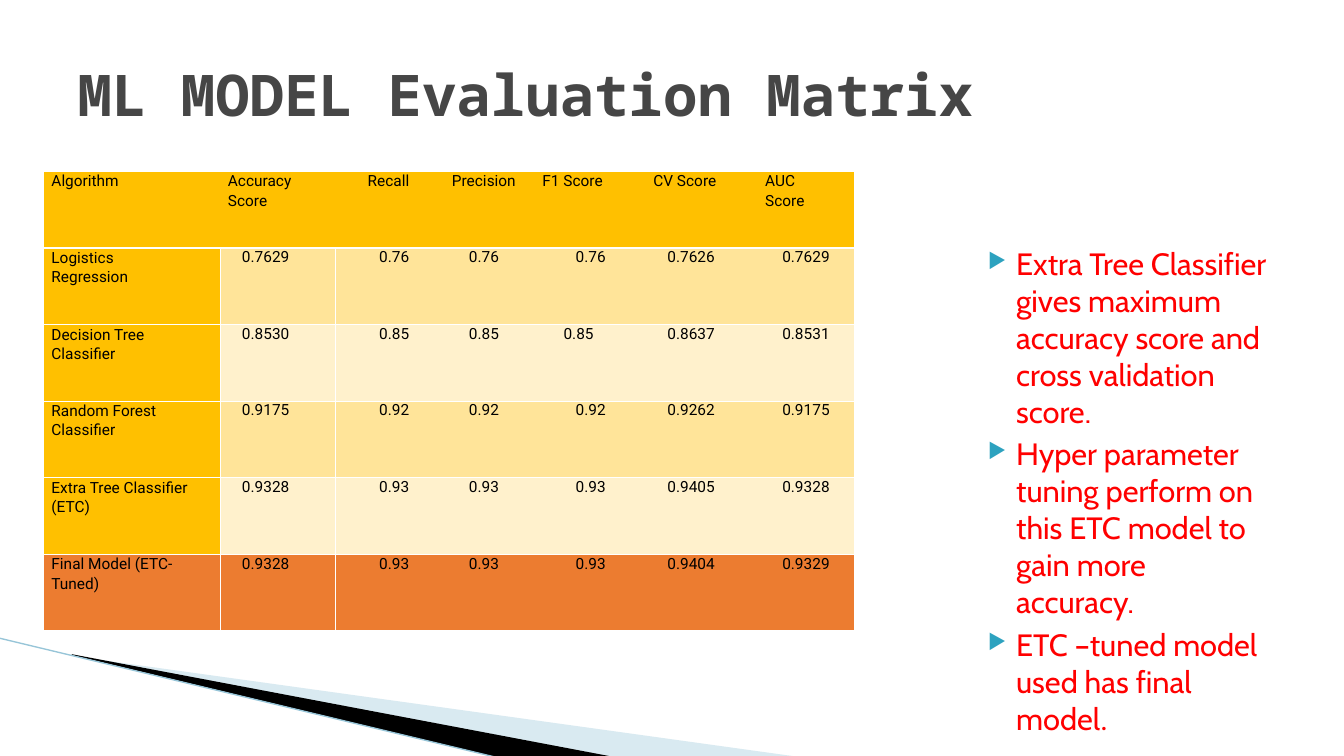
from lxml import etree
from pptx import Presentation
from pptx.dml.color import RGBColor
from pptx.enum.text import MSO_ANCHOR, PP_ALIGN
from pptx.oxml.ns import qn
from pptx.util import Inches, Pt

LEFT, MID, RIGHT = PP_ALIGN.LEFT, PP_ALIGN.CENTER, PP_ALIGN.RIGHT
MIDDLE = MSO_ANCHOR.MIDDLE

# Content
TITLE = "ML MODEL Evaluation Matrix"
HEAD = ["Algorithm", "Accuracy Score", "Recall", "Precision", "F1 Score",
        "CV Score", "AUC\nScore"]
ROWS = [
    ["Logistics Regression", "0.7629", "0.76", "0.76", "0.76", "0.7626", "0.7629"],
    ["Decision Tree Classifier", "0.8530", "0.85", "0.85", "0.85", "0.8637", "0.8531"],
    ["Random Forest Classifier", "0.9175", "0.92", "0.92", "0.92", "0.9262", "0.9175"],
    ["Extra Tree Classifier (ETC)", "0.9328", "0.93", "0.93", "0.93", "0.9405", "0.9328"],
    ["Final Model (ETC- Tuned)", "0.9328", "0.93", "0.93", "0.93", "0.9404", "0.9329"],
]
NOTES = [
    ["Extra Tree Classifier gives maximum accuracy score and cross validation score."],
    ["Hyper parameter tuning perform on this ETC model to gain more accuracy."],
    ["ETC –tuned model used has final model", "."],
]
COLORS = {"title": "464646", "note": "FF0000", "bullet": "2DA2BF",
          "text": "000000", "gold": "FFC000", "odd": "FFE499",
          "even": "FFF1CC", "final": "EC7C30", "rule": "FFFFFF",
          "pale": "A0CBDC", "black": "000000", "edge": "97C5D8"}

# Layout: column widths, and (align, left indent, right indent) by column
WIDTHS = [1.75, 1.14, 0.96, 1.02, 1.1, 1.11, 0.95]
ROW_H = 0.76
HEAD_FMT = [(LEFT, 0.07, 0), (LEFT, 0.07, 0.2), (RIGHT, 0, 0.23),
            (MID, 0, 0), (LEFT, 0.07, 0), (LEFT, 0.07, 0), (LEFT, 0.07, 0)]
BODY_FMT = [(LEFT, 0.07, 0.3), (LEFT, 0.21, 0), (RIGHT, 0, 0.23),
            (MID, 0, 0), (MID, 0, 0), (LEFT, 0.21, 0), (MID, 0, 0)]
SHIFTED = {(2, 4): (LEFT, 0.28, 0)}
WEDGES = [
    ("pale", 40, [(0.73, 6.51), (7.93, 7.51), (6.08, 7.51), (0.73, 6.5)]),
    ("black", 100, [(0.71, 6.49), (6.09, 7.51), (4.96, 7.52), (0.72, 6.5)]),
]


def rgb(key):
    return RGBColor.from_string(COLORS[key])


def style(run, font, size, key, bold=False):
    run.font.name, run.font.size, run.font.bold = font, Pt(size), bold
    run.font.color.rgb = rgb(key)


def add(parent, tag, **attrs):
    node = etree.SubElement(parent, qn(tag))
    for name, value in attrs.items():
        node.set(name, str(value))
    return node


def indent(par, left, right=0, first=0):
    props = par._p.get_or_add_pPr()
    for name, value in (("marL", left), ("marR", right), ("indent", first)):
        props.set(name, str(Inches(value)))
    return props


def border(cell, tag):
    line = add(cell._tc.get_or_add_tcPr(), tag, w=Pt(1))
    add(add(line, "a:solidFill"), "a:srgbClr", val=COLORS["rule"])


def draw_wedges(slide):
    for key, alpha, points in WEDGES:
        spots = [(Inches(x), Inches(y)) for x, y in points]
        form = slide.shapes.build_freeform(*spots[0], scale=1.0)
        form.add_line_segments(spots[1:], close=True)
        wedge = form.convert_to_shape()
        wedge.shadow.inherit = False
        wedge.fill.solid()
        wedge.fill.fore_color.rgb = rgb(key)
        wedge.line.fill.background()
        if alpha < 100:
            tint = wedge._element.spPr.find(".//" + qn("a:srgbClr"))
            add(tint, "a:alpha", val=alpha * 1000)
    edge = slide.shapes.add_connector(
        1, Inches(-0.01), Inches(6.33), Inches(4.95), Inches(7.52))
    edge.line.color.rgb = rgb("edge")
    edge.line.width = Pt(0.95)
    add(edge._element.spPr, "a:effectLst")


def draw_title(slide):
    title = slide.shapes.title
    title.left, title.top = Inches(0.67), Inches(0.3)
    title.width, title.height = Inches(12), Inches(1.25)
    frame = title.text_frame
    frame.text = TITLE
    frame.vertical_anchor = MIDDLE
    par = frame.paragraphs[0]
    par.alignment = LEFT
    style(par.runs[0], "Noto Sans Mono", 41, "title", True)


def fill_key(row, col):
    if row == len(ROWS):
        return "final"
    if row == 0 or col == 0:
        return "gold"
    return "odd" if row % 2 else "even"


def draw_table(slide):
    data = [HEAD] + ROWS
    frame = slide.shapes.add_table(
        len(data), len(HEAD), Inches(0.44), Inches(1.7),
        Inches(sum(WIDTHS)), Inches(ROW_H * len(data)))
    table = frame.table
    # Plain style, so that only the borders set here show
    table._tbl.tblPr.find(qn("a:tableStyleId")).text = \
        "{2D5ABB26-0587-4C30-8999-92F81FD0307C}"
    for col, width in enumerate(WIDTHS):
        table.columns[col].width = Inches(width)
    for row, texts in enumerate(data):
        table.rows[row].height = Inches(ROW_H)
        for col, text in enumerate(texts):
            cell = table.cell(row, col)
            cell.margin_left = cell.margin_right = 0
            cell.margin_top = cell.margin_bottom = 0
            if row and col == 1:
                border(cell, "a:lnL")
            if row and col == 0:
                border(cell, "a:lnR")
            border(cell, "a:lnT")
            border(cell, "a:lnB")
            cell.fill.solid()
            cell.fill.fore_color.rgb = rgb(fill_key(row, col))
            cell.text_frame.text = text
            usual = BODY_FMT[col] if row else HEAD_FMT[col]
            align, left, right = SHIFTED.get((row, col), usual)
            wraps = (col == 0 and row > 0) or (row, col) == (0, 1)
            for par in cell.text_frame.paragraphs:
                par.alignment = align
                par.line_spacing = 1.07 if wraps else Pt(13.2)
                indent(par, left, right)
                style(par.runs[0], "Roboto", 11, "text")
            if len(cell.text_frame.paragraphs) > 1:
                par.space_before = Pt(1.1)


def draw_notes(slide):
    box = slide.shapes.add_textbox(
        Inches(9.58), Inches(2.38), Inches(3.12), Inches(4.35))
    frame = box.text_frame
    frame.word_wrap = True
    for num, parts in enumerate(NOTES):
        par = frame.add_paragraph() if num else frame.paragraphs[0]
        par.space_before = Pt(4)
        for part, font in zip(parts, ("Cabin", "Roboto")):
            run = par.add_run()
            run.text = part
            style(run, font, 22, "note")
        props = indent(par, 0.4, first=-0.28)
        add(add(props, "a:buClr"), "a:srgbClr", val=COLORS["bullet"])
        add(props, "a:buSzPct", val=68000)
        add(props, "a:buChar", char="▶")


def main():
    prs = Presentation()
    prs.slide_width, prs.slide_height = Inches(13.33), Inches(7.5)
    slide = prs.slides.add_slide(prs.slide_layouts[5])
    draw_wedges(slide)
    draw_notes(slide)
    draw_title(slide)
    draw_table(slide)
    prs.save("out.pptx")


if __name__ == "__main__":
    main()
